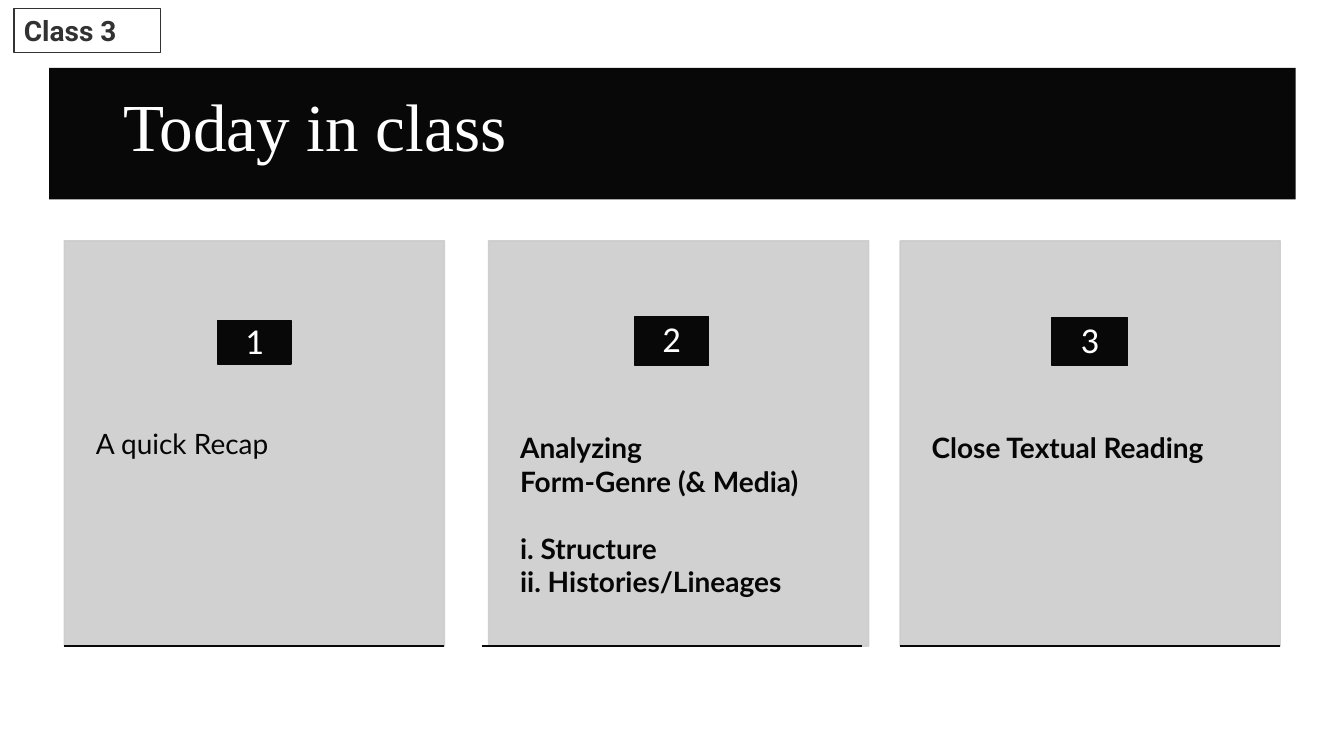
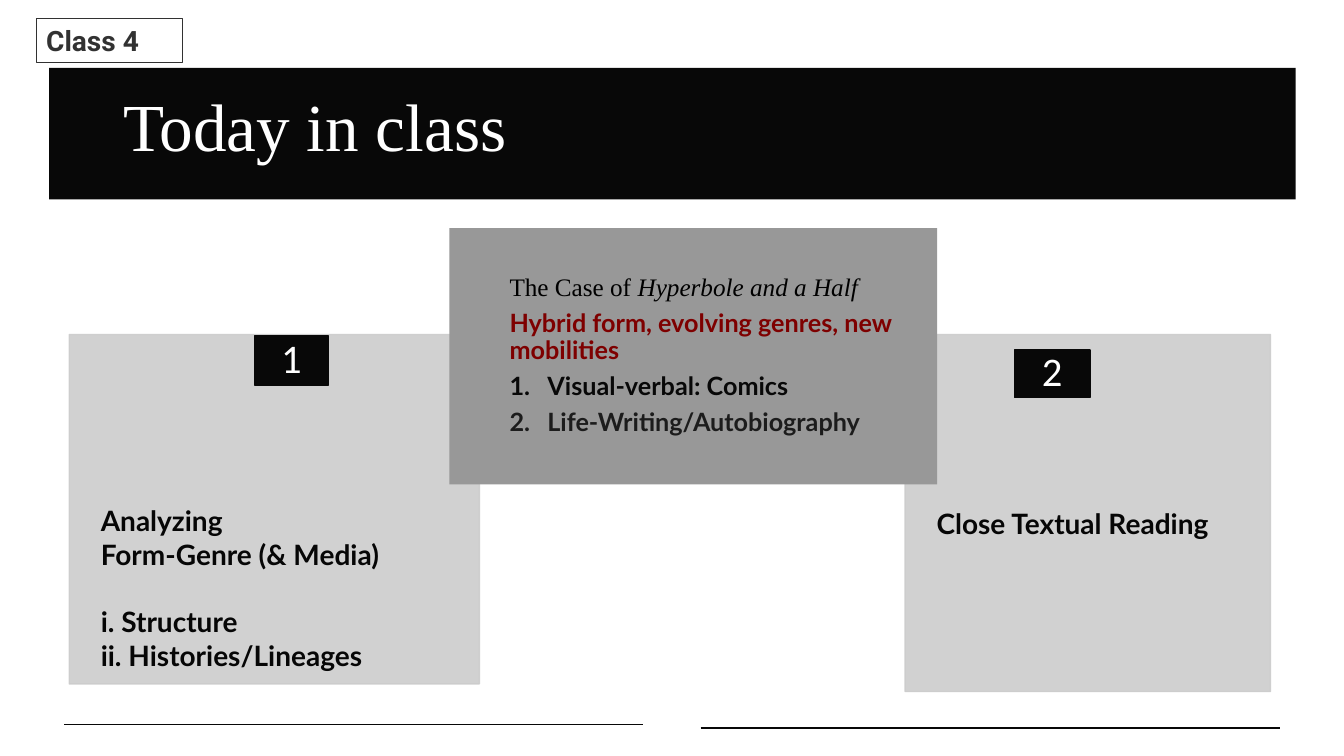
from lxml import etree
from pptx import Presentation
from pptx import util as u
from pptx.dml import color
from pptx.enum import shapes, text
from pptx.oxml import ns

COLORS = {"ink": "080808", "body": "060606", "card": "CCCCCC", "panel": "989898",
          "tag": "323232", "white": "FFFFFF", "black": "000000",
          "accent": "7E0000", "soft": "1C1C1C"}

TITLE = {"name": "Times New Roman", "size": 48, "color": "white"}
TAG = {"name": "Roboto", "size": 20, "bold": True, "color": "tag"}
PLAIN = {"name": "Lato", "size": 20, "color": "body"}
STRONG = {**PLAIN, "bold": True}
BADGE = {"name": "Calibri", "color": "white"}
CASE = {"name": "Times New Roman", "size": 18, "color": "black"}
POINT = {"name": "Lato", "size": 18, "bold": True, "color": "ink"}


def rgb(name):
    return color.RGBColor.from_string(COLORS[name])


def set_values(target, values):
    for name, value in values.items():
        setattr(target, name, value)


class Deck:
    """Holds the shared style and the slide being filled."""

    def __init__(self):
        self.file = Presentation()
        set_values(self.file, {"slide_width": u.Pt(960), "slide_height": u.Pt(540)})
        self.layout = self.file.slide_layouts[5]
        self.slide = None

    def start(self, title, tag, tag_at):
        first = self.slide is None
        self.slide = self.file.slides.add_slide(self.layout)
        if first:  # the title band belongs to the layout, behind all slides
            band = self.box(35, 48.5, 890.5, 94, "ink")
            self.layout.shapes.element.insert(2, band.element)
        heading = self.slide.shapes.title
        set_values(heading, {"left": u.Pt(46), "top": u.Pt(60.5),
                             "width": u.Pt(868), "height": u.Pt(64)})
        self.frame(heading, (42, 3.5, 7, 3.5), text.MSO_ANCHOR.MIDDLE)
        self.fill_text(heading, [([(title, TITLE)], {"line_spacing": 0.9})])
        label = self.box(*tag_at, 104.5, 31.5, None, "tag")
        self.frame(label, (7, 3.5, 7, 3.5), text.MSO_ANCHOR.MIDDLE)
        self.fill_text(label, [([(tag, TAG)], {})])

    def box(self, left, top, width, height, fill, line=None, opacity=None):
        shape = self.slide.shapes.add_shape(
            shapes.MSO_SHAPE.RECTANGLE, *map(u.Pt, (left, top, width, height)))
        shape.shadow.inherit = False
        if fill:
            shape.fill.solid()
            shape.fill.fore_color.rgb = rgb(fill)
        else:
            shape.fill.background()
        if line:
            shape.line.color.rgb = rgb(line)
            shape.line.width = u.Pt(1)
        else:
            shape.line.fill.background()
        if opacity:
            for tone in shape.element.spPr.iter(ns.qn("a:srgbClr")):
                etree.SubElement(tone, ns.qn("a:alpha"), val=str(opacity * 1000))
        return shape

    def frame(self, shape, insets, anchor):
        sides = ("margin_left", "margin_top", "margin_right", "margin_bottom")
        set_values(shape.text_frame, {
            **dict(zip(sides, map(u.Pt, insets))), "word_wrap": True,
            "auto_size": text.MSO_AUTO_SIZE.NONE, "vertical_anchor": anchor})

    def fill_text(self, shape, paragraphs):
        """Each paragraph is a list of (words, font) runs and its format values."""
        frame = shape.text_frame
        for index, (runs, layout) in enumerate(paragraphs):
            paragraph = frame.add_paragraph() if index else frame.paragraphs[0]
            values = {"alignment": text.PP_ALIGN.LEFT, **layout}
            if values.pop("numbered", False):
                properties = paragraph._p.get_or_add_pPr()
                properties.set("marL", str(u.Pt(27)))
                properties.set("indent", str(-u.Pt(27)))
                etree.SubElement(properties, ns.qn("a:buAutoNum"), type="arabicPeriod")
            set_values(paragraph, values)
            for words, style in runs:
                run = paragraph.add_run()
                run.text = words
                font = dict(style)
                run.font.color.rgb = rgb(font.pop("color"))
                font["size"] = u.Pt(font["size"])
                set_values(run.font, font)

    def card(self, left, top, width, height, text_top, paragraphs):
        card = self.box(left, top, width, height, "card", "card", 90)
        self.frame(card, (22.5, text_top, 21, 0), text.MSO_ANCHOR.TOP)
        self.fill_text(card, paragraphs)

    def badge(self, number, left, top, width, height, size):
        badge = self.box(left, top, width, height, "ink", "ink")
        self.frame(badge, (6.5, 0.5, 6.5, 0.5), text.MSO_ANCHOR.MIDDLE)
        self.fill_text(badge, [([(str(number), {**BADGE, "size": size})],
                                {"alignment": text.PP_ALIGN.CENTER, "line_spacing": 0.9})])

    def rule(self, left, top, width):
        rule = self.slide.shapes.add_connector(
            shapes.MSO_CONNECTOR.STRAIGHT, *map(u.Pt, (left, top, left + width, top)))
        rule.line.color.rgb = rgb("ink")
        rule.line.width = u.Pt(1)
        etree.SubElement(rule.element.spPr, ns.qn("a:effectLst"))

    def panel(self, left, top, width, height, paragraphs):
        panel = self.box(left, top, width, height, "panel")
        self.frame(panel, (43, 33, 7, 3.5), text.MSO_ANCHOR.TOP)
        spacing = {"line_spacing": 0.9, "space_after": u.Pt(6.3)}
        self.fill_text(panel, [(runs, {**spacing, **extra}) for runs, extra in paragraphs])


# Agenda items used by both classes
RECAP = [([("A quick Recap", PLAIN)], {"line_spacing": 0.9})]
ANALYSIS = [([("Analyzing", STRONG)], {}),
            ([("Form-Genre (& Media)", STRONG)], {}),
            ([("i. Structure", STRONG)], {"space_before": u.Pt(24)}),
            ([("ii. Histories/Lineages", STRONG)], {})]
READING = [([("Close Textual Reading", STRONG)], {})]


def main():
    deck = Deck()

    # Class 3: three agenda cards
    deck.start("Today in class", "Class 3", (10, 6))
    agenda = [(RECAP, 46, 46, (155.5, 229, 52.5, 31)),
              (ANALYSIS, 349, 344, (453.5, 226, 52.5, 35)),
              (READING, 643, 643, (751.5, 227, 54, 34))]
    for number, (item, left, rule_left, badge_at) in enumerate(agenda, 1):
        deck.card(left, 172, 271.5, 289.5, 135.5, item)
        deck.badge(number, *badge_at, 26)
        deck.rule(rule_left, 461.5, 271.5)

    # Class 4: two agenda cards
    deck.start("Today in class", "Class 4", (26, 13))
    agenda = [(ANALYSIS, (49.5, 239, 293, 249.5), 121, (182, 240, 52.5, 35), (46, 517.5)),
              (READING, (646.5, 239, 261, 255), 123, (724.5, 250, 54, 34), (500.5, 520))]
    for number, (item, card_at, text_top, badge_at, rule_at) in enumerate(agenda, 1):
        deck.card(*card_at, text_top, item)
        deck.badge(number, *badge_at, 29)
        deck.rule(*rule_at, 413.5)

    # Case study over the cards
    deck.panel(321, 163, 348.5, 183, [
        ([("The Case of ", CASE), ("Hyperbole and a Half", {**CASE, "italic": True})], {}),
        ([("Hybrid form, evolving genres, new mobilities", {**POINT, "color": "accent"})], {}),
        ([("Visual-verbal: Comics", POINT)], {"numbered": True}),
        ([("Life-Writing/Autobiography", {**POINT, "color": "soft"})], {"numbered": True})])

    deck.file.save("out.pptx")


if __name__ == "__main__":
    main()
